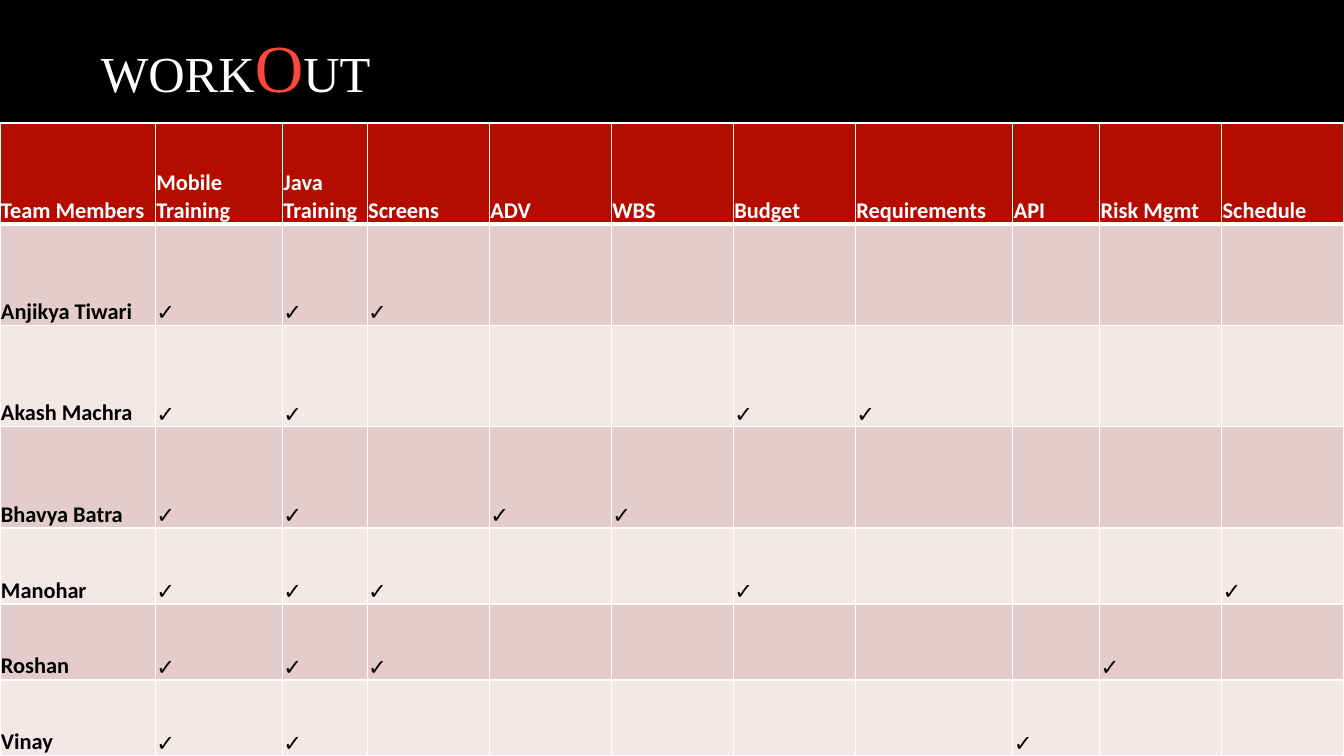
import pptx
import pptx.dml.color
import pptx.enum.shapes
import pptx.enum.text
import pptx.oxml
import pptx.oxml.ns
import pptx.util

COLORS = {
    "band": "000000", "white": "FFFFFF", "accent": "FF473A", "header": "B50C00",
    "odd": "E5CCCC", "even": "F3E7E7", "text": "000000",
}
TITLE = [("WORK", 36, "white"), ("O", 48, "accent"), ("UT", 36, "white")]
HEADERS = ["Team Members", "Mobile Training", "Java Training", "Screens", "ADV", "WBS",
           "Budget", "Requirements", "API", "Risk Mgmt", "Schedule"]
TRAINING = ["Mobile Training", "Java Training"]  # taken by every member
TASKS = {
    "Anjikya Tiwari": ["Screens"],
    "Akash Machra": ["Budget", "Requirements"],
    "Bhavya Batra": ["ADV", "WBS"],
    "Manohar": ["Screens", "Budget", "Schedule"],
    "Roshan": ["Screens", "Risk Mgmt"],
    "Vinay": ["API"],
}
COLUMN_WEIGHTS = [154, 126, 84, 121, 121, 121, 121, 156, 86, 121, 121]
ROW_WEIGHTS = [4, 4, 4, 4, 3, 3, 3]


def rgb(name):
    return pptx.dml.color.RGBColor.from_string(COLORS[name])


class SlideBuilder:
    """Places elements by percentages of the slide's width and height."""

    def __init__(self, presentation):
        self.width = presentation.slide_width
        self.height = presentation.slide_height
        self.slide = presentation.slides.add_slide(presentation.slide_layouts[5])

    def box(self, left, top, width, height):
        return [int(share * side / 100) for share, side in
                zip((left, top, width, height), (self.width, self.height) * 2)]

    def band(self, *shares):
        shape = self.slide.shapes.add_shape(
            pptx.enum.shapes.MSO_SHAPE.RECTANGLE, *self.box(*shares))
        shape.shadow.inherit = False
        shape.fill.solid()
        shape.fill.fore_color.rgb = rgb("band")
        shape.line.fill.background()
        # Keep the band behind the title
        self.slide.shapes.element.insert(2, shape.element)

    def title(self, parts, *shares):
        title = self.slide.shapes.title
        title.left, title.top, title.width, title.height = self.box(*shares)
        frame = title.text_frame
        frame.vertical_anchor = pptx.enum.text.MSO_ANCHOR.MIDDLE
        frame.margin_top = pptx.util.Inches(0.17)
        paragraph = frame.paragraphs[0]
        paragraph.alignment = pptx.enum.text.PP_ALIGN.LEFT
        for text, size, color in parts:
            run = paragraph.add_run()
            run.text = text
            run.font.name = "Times New Roman"
            run.font.size = pptx.util.Pt(size)
            run.font.color.rgb = rgb(color)

    def table(self, rows, column_weights, row_weights, *shares):
        left, top, width, height = self.box(*shares)
        table = self.slide.shapes.add_table(
            len(rows), len(column_weights), left, top, width, height).table
        for column, weight in zip(table.columns, column_weights):
            column.width = width * weight // sum(column_weights)
        for row, weight in zip(table.rows, row_weights):
            row.height = height * weight // sum(row_weights)
        for row_index, texts in enumerate(rows):
            for column_index, text in enumerate(texts):
                self.cell(table.cell(row_index, column_index), text, row_index, column_index)

    def cell(self, cell, text, row, column):
        header = row == 0
        self.borders(cell, top=3 if row == 1 else 1, bottom=3 if header else 1)
        cell.fill.solid()
        cell.fill.fore_color.rgb = rgb("header" if header else "odd" if row % 2 else "even")
        cell.vertical_anchor = pptx.enum.text.MSO_ANCHOR.BOTTOM
        cell.margin_left = cell.margin_right = cell.margin_top = pptx.util.Inches(0.01)
        cell.margin_bottom = 0
        cell.text = text
        label = header or column == 0
        font = cell.text_frame.paragraphs[0].font
        font.name = "Calibri" if label else "Arial"
        font.size = pptx.util.Pt(16)
        font.bold = label
        font.color.rgb = rgb("white" if header else "text")

    def borders(self, cell, top, bottom):
        properties = cell._tc.get_or_add_tcPr()
        for side, points in (("L", 1), ("R", 1), ("T", top), ("B", bottom)):
            properties.append(pptx.oxml.parse_xml(
                f'<a:ln{side} {pptx.oxml.ns.nsdecls("a")} w="{pptx.util.Pt(points)}">'
                f'<a:solidFill><a:srgbClr val="{COLORS["white"]}"/></a:solidFill></a:ln{side}>'))


def main():
    presentation = pptx.Presentation()
    presentation.slide_width = pptx.util.Inches(13.33)
    presentation.slide_height = pptx.util.Inches(7.5)
    builder = SlideBuilder(presentation)

    # Title on its black band
    builder.band(0, 0, 100, 16.67)
    builder.title(TITLE, 6.75, -0.4, 82.22, 16.67)

    # Task matrix: one row per member, a tick for each assignment
    rows = [HEADERS]
    for member, tasks in TASKS.items():
        rows.append([member] + ["✓" if name in TRAINING + tasks else ""
                                for name in HEADERS[1:]])
    builder.table(rows, COLUMN_WEIGHTS, ROW_WEIGHTS, 0, 16.27, 100, 83.73)

    presentation.save("out.pptx")


if __name__ == "__main__":
    main()
